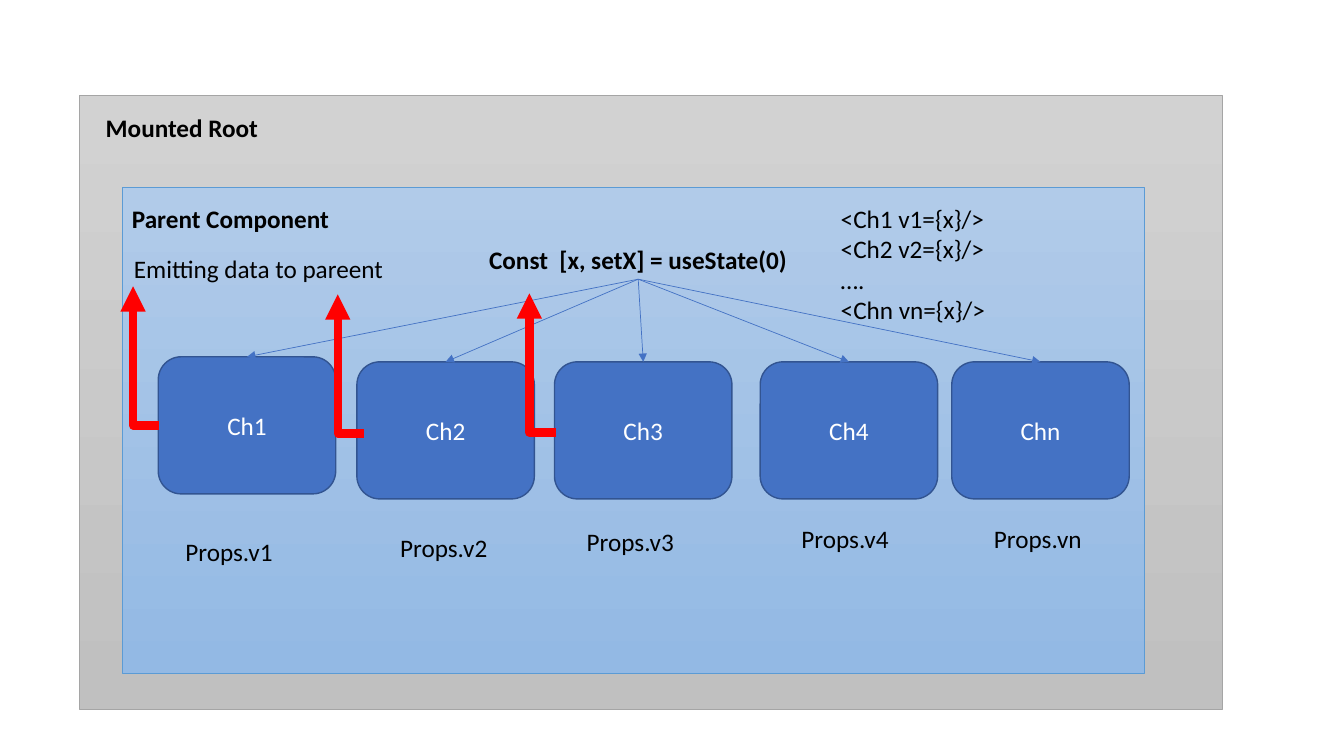
from dataclasses import dataclass
from lxml.etree import SubElement
from pptx import Presentation
from pptx.dml.color import RGBColor
from pptx.enum.shapes import MSO_CONNECTOR, MSO_SHAPE
from pptx.enum.text import MSO_ANCHOR, MSO_AUTO_SIZE, PP_ALIGN
from pptx.oxml.ns import qn
from pptx.util import Inches, Pt


@dataclass
class Theme:
    font: str = "Calibri"
    size: int = 18
    ink: str = "000000"
    light: str = "FFFFFF"
    blue: str = "4472C4"
    edge: str = "325491"
    red: str = "FF0000"
    root: tuple = ("D2D2D2", "C0C0C0", "A5A5A5")
    parent: tuple = ("B1CBE9", "93B9E4", "5B9BD5")


theme = Theme()
rgb = RGBColor.from_string


def add_text(x, y, w, h, lines, bold=False, align=PP_ALIGN.LEFT):
    box = slide.shapes.add_textbox(Inches(x), Inches(y), Inches(w), Inches(h))
    frame = box.text_frame
    frame.word_wrap = True
    frame.auto_size = MSO_AUTO_SIZE.SHAPE_TO_FIT_TEXT
    frame.text = lines
    for para in frame.paragraphs:
        para.alignment = align
        para.font.name = theme.font
        para.font.size = Pt(theme.size)
        para.font.bold = bold
        para.font.color.rgb = rgb(theme.ink)
    return box


def style_arrow(link, color, width):
    link.line.color.rgb = rgb(color)
    link.line.width = Pt(width)
    SubElement(link.line._get_or_add_ln(), qn("a:tailEnd"), type="triangle")
    SubElement(link._element.spPr, qn("a:effectLst"))


deck = Presentation()
deck.slide_width = Inches(13.33)
deck.slide_height = Inches(7.5)
slide = deck.slides.add_slide(deck.slide_layouts[6])

# Nested panels with their headings
panels = [
    ((0.79, 0.95, 11.33, 6.09), theme.root, (0.95, 1.07, 2.38, 0.4), "Mounted Root"),
    ((1.21, 1.86, 10.14, 4.82), theme.parent, (1.21, 1.97, 2.8, 0.4), "Parent Component"),
]
for area, (top, base, edge), place, title in panels:
    panel = slide.shapes.add_shape(MSO_SHAPE.RECTANGLE, *map(Inches, area))
    panel.shadow.inherit = False
    panel.fill.gradient()
    panel.fill.gradient_angle = 270
    for stop, shade, spot in zip(panel.fill.gradient_stops, (top, base), (0, 1)):
        stop.color.rgb = rgb(shade)
        stop.position = spot
    panel.line.color.rgb = rgb(edge)
    panel.line.width = Pt(0.5)
    add_text(*place, title, bold=True)

# State, shared by every child
state = add_text(4.56, 2.37, 3.54, 0.4, "Const  [x, setX] = useState(0)",
                 bold=True, align=PP_ALIGN.CENTER)

# Children: key, left, top, then left and top of the props label
children = [
    ("1", 1.57, 3.54, 1.74, 5.27),
    ("2", 3.54, 3.59, 3.87, 5.23),
    ("3", 5.5, 3.59, 5.72, 5.17),
    ("4", 7.54, 3.59, 7.85, 5.14),
    ("n", 9.44, 3.59, 9.76, 5.14),
]
for key, x, y, left, top in children:
    child = slide.shapes.add_shape(MSO_SHAPE.ROUNDED_RECTANGLE, Inches(x), Inches(y),
                                   Inches(1.76), Inches(1.36))
    child.shadow.inherit = False
    child.fill.solid()
    child.fill.fore_color.rgb = rgb(theme.blue)
    child.line.color.rgb = rgb(theme.edge)
    child.line.width = Pt(1)
    child.text_frame.text = f"Ch{key}"
    child.text_frame.vertical_anchor = MSO_ANCHOR.MIDDLE
    para = child.text_frame.paragraphs[0]
    para.alignment = PP_ALIGN.CENTER
    para.font.name = theme.font
    para.font.size = Pt(theme.size)
    para.font.color.rgb = rgb(theme.light)

    link = slide.shapes.add_connector(MSO_CONNECTOR.STRAIGHT, Inches(6.33), Inches(2.77),
                                      Inches(x + 0.88), Inches(y))
    link.begin_connect(state, 2)
    link.end_connect(child, 0)
    style_arrow(link, theme.blue, 0.5)
    add_text(left, top, 1.38, 0.4, f"Props.v{key}")

# Markup of the children
add_text(8.24, 1.97, 2.96, 1.31, "<Ch1 v1={x}/>\n<Ch2 v2={x}/>\n….\n<Chn vn={x}/>")

# Red arrows from a child up to the parent: one bend, turned by 180 degrees
for x, y in [(1.32, 2.84), (3.35, 2.92), (5.25, 2.91)]:
    emit = slide.shapes.add_connector(MSO_CONNECTOR.ELBOW, Inches(x), Inches(y),
                                      Inches(x + 0.26), Inches(y + 1.38))
    shape = emit._element.spPr
    shape.find(qn("a:xfrm")).set("rot", "10800000")
    shape.find(qn("a:prstGeom")).set("prst", "bentConnector2")
    style_arrow(emit, theme.red, 6)
add_text(1.23, 2.46, 3.49, 0.4, "Emitting data to pareent")

deck.save("out.pptx")
